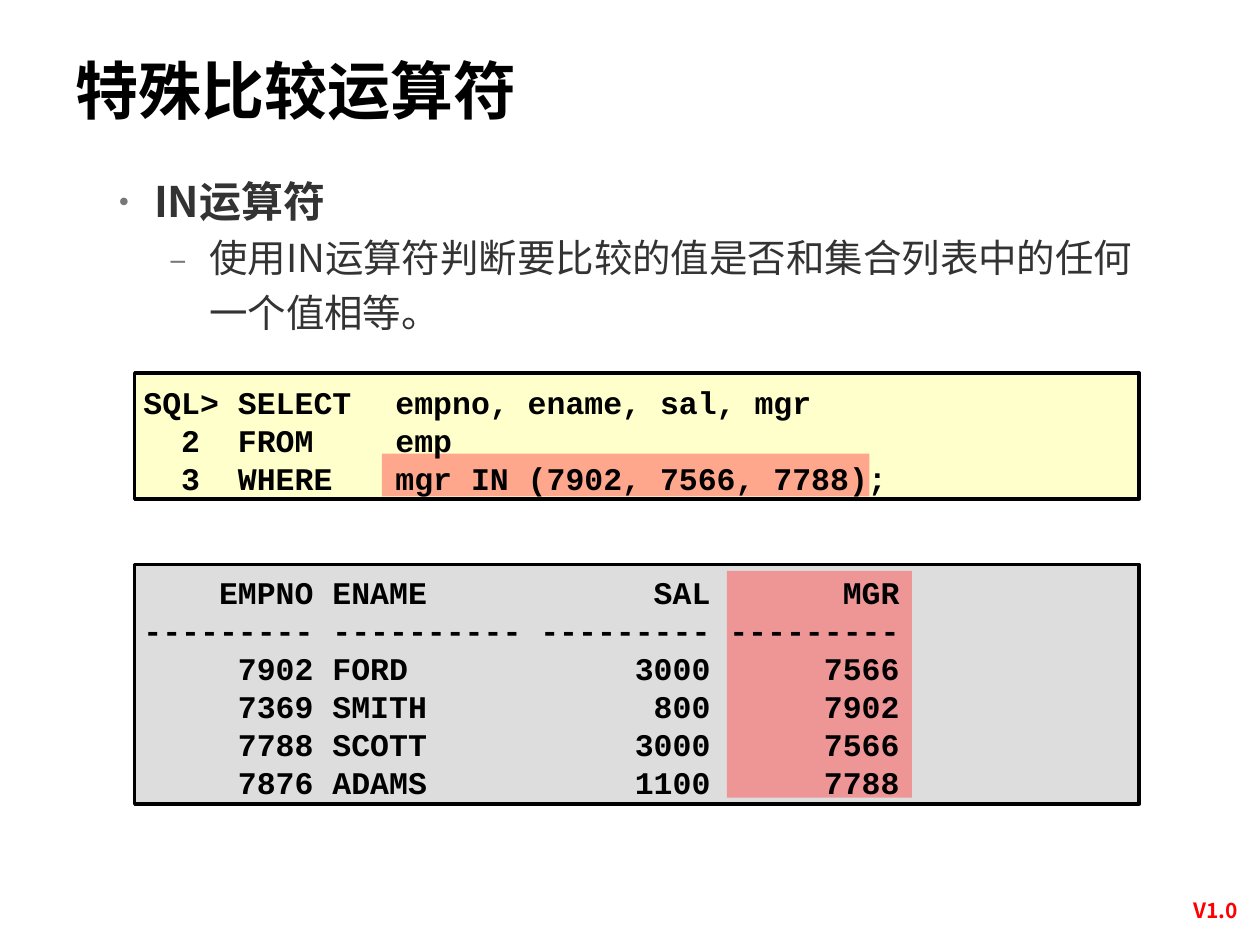
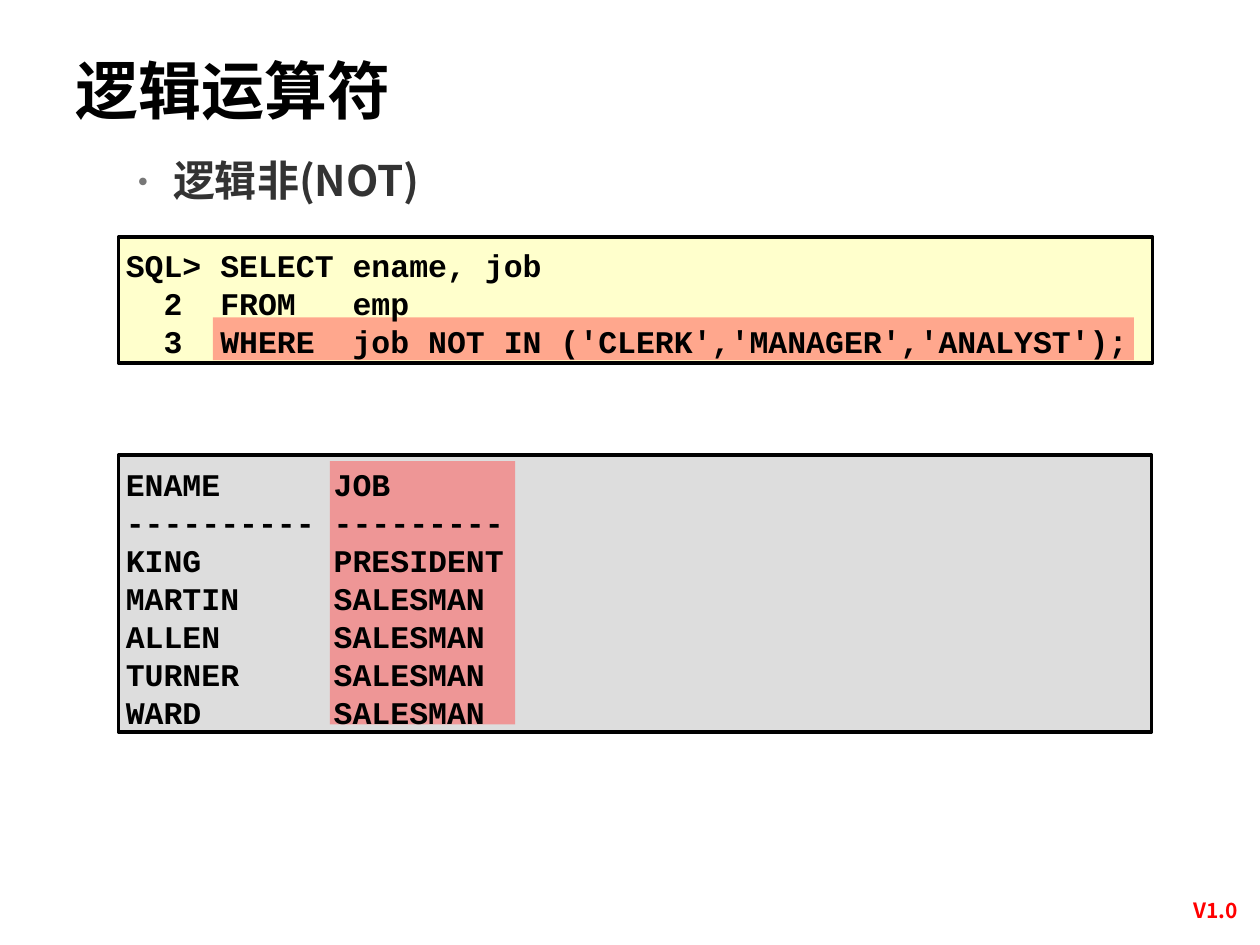
from dataclasses import dataclass

from lxml import etree
from pptx import Presentation
from pptx.dml.color import RGBColor
from pptx.enum.shapes import MSO_SHAPE
from pptx.enum.text import MSO_ANCHOR, PP_ALIGN
from pptx.oxml.ns import qn
from pptx.util import Pt

RECTANGLE = MSO_SHAPE.RECTANGLE
TOP, MIDDLE = MSO_ANCHOR.TOP, MSO_ANCHOR.MIDDLE
LEFT, CENTER = PP_ALIGN.LEFT, PP_ALIGN.CENTER


@dataclass(frozen=True)
class TextStyle:
    font: str
    size: float
    color: str
    pitch: float
    bold: bool = True
    align: PP_ALIGN = LEFT


@dataclass(frozen=True)
class BulletStyle:
    mark: str
    indent: float
    hanging: float
    text: TextStyle


class Theme:
    sans = "Noto Sans CJK SC"
    mono = "Courier New"
    black = "000000"
    body = "333333"
    bullet = "777777"
    bullet_size = 85
    query_fill = "FFFFCC"
    result_fill = "DDDDDD"
    highlight = "FF5050"
    highlight_opacity = 50
    border = 2
    code_tab = 144
    title = TextStyle(sans, 36, black, 47.5)
    code = TextStyle(mono, 18, black, 21.7)
    version = TextStyle(sans, 12, "FF0000", 15, align=CENTER)
    topic = BulletStyle("•", 27, 27, TextStyle(sans, 24, body, 36.7))
    detail = BulletStyle("–", 58.5, 22.5, TextStyle(sans, 22, body, 31.4, bold=False))


def add_element(parent, tag, **attributes):
    element = etree.SubElement(parent, qn(tag))
    for key, value in attributes.items():
        element.set(key, str(value))
    return element


def add_frame(slide, area, anchor=TOP, top_inset=3.6):
    frame = slide.shapes.add_textbox(*map(Pt, area)).text_frame
    frame.word_wrap = True
    frame.vertical_anchor = anchor
    frame.margin_left = frame.margin_right = Pt(7.2)
    frame.margin_top, frame.margin_bottom = Pt(top_inset), Pt(3.6)
    return frame


def add_line(frame, index, text, style):
    paragraph = frame.add_paragraph() if index else frame.paragraphs[0]
    paragraph.alignment = style.align
    paragraph.line_spacing = Pt(style.pitch)
    run = paragraph.add_run()
    run.text = text
    run.font.size = Pt(style.size)
    run.font.bold = style.bold
    run.font.color.rgb = RGBColor.from_string(style.color)
    run.font.name = style.font
    add_element(run.font._element, "a:ea", typeface=style.font)
    return paragraph


def add_bullets(slide, area, items):
    frame = add_frame(slide, area)
    for index, (text, bullet) in enumerate(items):
        properties = add_line(frame, index, text, bullet.text)._p.get_or_add_pPr()
        properties.set("marL", str(Pt(bullet.indent)))
        properties.set("indent", str(-Pt(bullet.hanging)))
        color = add_element(properties, "a:buClr")
        add_element(color, "a:srgbClr", val=Theme.bullet)
        add_element(properties, "a:buSzPct", val=Theme.bullet_size * 1000)
        add_element(properties, "a:buFont", typeface=bullet.text.font)
        add_element(properties, "a:buChar", char=bullet.mark)


def add_box(slide, area, fill):
    box = slide.shapes.add_shape(RECTANGLE, *map(Pt, area))
    box.shadow.inherit = False
    box.fill.solid()
    box.fill.fore_color.rgb = RGBColor.from_string(fill)
    return box


def add_panel(slide, area, fill):
    panel = add_box(slide, area, fill)
    panel.line.color.rgb = RGBColor.from_string(Theme.black)
    panel.line.width = Pt(Theme.border)


def add_highlight(slide, area):
    highlight = add_box(slide, area, Theme.highlight)
    highlight.line.fill.background()
    color = highlight._element.spPr.find(qn("a:solidFill"))[0]
    add_element(color, "a:alpha", val=Theme.highlight_opacity * 1000)


def add_code(slide, area, lines):
    frame = add_frame(slide, area, MIDDLE, top_inset=7.6)
    for index, text in enumerate(lines):
        properties = add_line(frame, index, text, Theme.code)._p.get_or_add_pPr()
        tabs = add_element(properties, "a:tabLst")
        add_element(tabs, "a:tab", pos=Pt(Theme.code_tab), algn="l")


def add_listing(slide, panel, fill, highlight, code_area, lines):
    add_panel(slide, panel, fill)
    add_highlight(slide, highlight)
    add_code(slide, code_area, lines)


def add_base(deck, title):
    slide = deck.slides.add_slide(deck.slide_layouts[6])
    add_line(add_frame(slide, (666, 509, 57, 21.6)), 0, "V1.0", Theme.version)
    add_line(add_frame(slide, (36, 21.6, 574, 55.4)), 0, title, Theme.title)
    return slide


def build_in_slide(deck):
    slide = add_base(deck, "特殊比较运算符")
    add_listing(
        slide, (77, 213.1, 574, 72), Theme.query_fill,
        (218.2, 259.2, 278.6, 24.5), (74.9, 212.4, 576, 74.2),
        ["SQL> SELECT\tempno, ename, sal, mgr",
         "  2  FROM\temp",
         "  3  WHERE\tmgr IN (7902, 7566, 7788);"])
    add_listing(
        slide, (77, 322.6, 574, 136.8), Theme.result_fill,
        (415.4, 326.2, 105.8, 129.6), (74.9, 321.1, 576, 139),
        ["    EMPNO ENAME            SAL       MGR",
         "--------- ---------- --------- ---------",
         "     7902 FORD            3000      7566",
         "     7369 SMITH            800      7902",
         "     7788 SCOTT           3000      7566",
         "     7876 ADAMS           1100      7788"])
    add_bullets(slide, (54, 88.6, 619.2, 105.8), [
        ("IN运算符", Theme.topic),
        ("使用IN运算符判断要比较的值是否和集合列表中的任何一个值相等。", Theme.detail)])


def build_not_slide(deck):
    slide = add_base(deck, "逻辑运算符")
    add_listing(
        slide, (67.7, 135.4, 591, 72), Theme.query_fill,
        (121.7, 181.4, 526.3, 24.5), (64.8, 133.9, 593.3, 74.2),
        ["SQL> SELECT ename, job",
         "  2  FROM   emp",
         "  3  WHERE  job NOT IN ('CLERK','MANAGER','ANALYST');"])
    add_listing(
        slide, (67.7, 260, 590.4, 158.4), Theme.result_fill,
        (188.6, 263.5, 105.8, 150.5), (64.8, 259.2, 592.6, 160.6),
        ["ENAME      JOB",
         "---------- ---------",
         "KING       PRESIDENT",
         "MARTIN     SALESMAN",
         "ALLEN      SALESMAN",
         "TURNER     SALESMAN",
         "WARD       SALESMAN"])
    add_bullets(slide, (64.8, 77, 619.2, 74.2), [("逻辑非(NOT)", Theme.topic)])


def main():
    deck = Presentation()
    deck.slide_width, deck.slide_height = Pt(720), Pt(540)
    build_in_slide(deck)
    build_not_slide(deck)
    deck.save("out.pptx")


if __name__ == "__main__":
    main()
